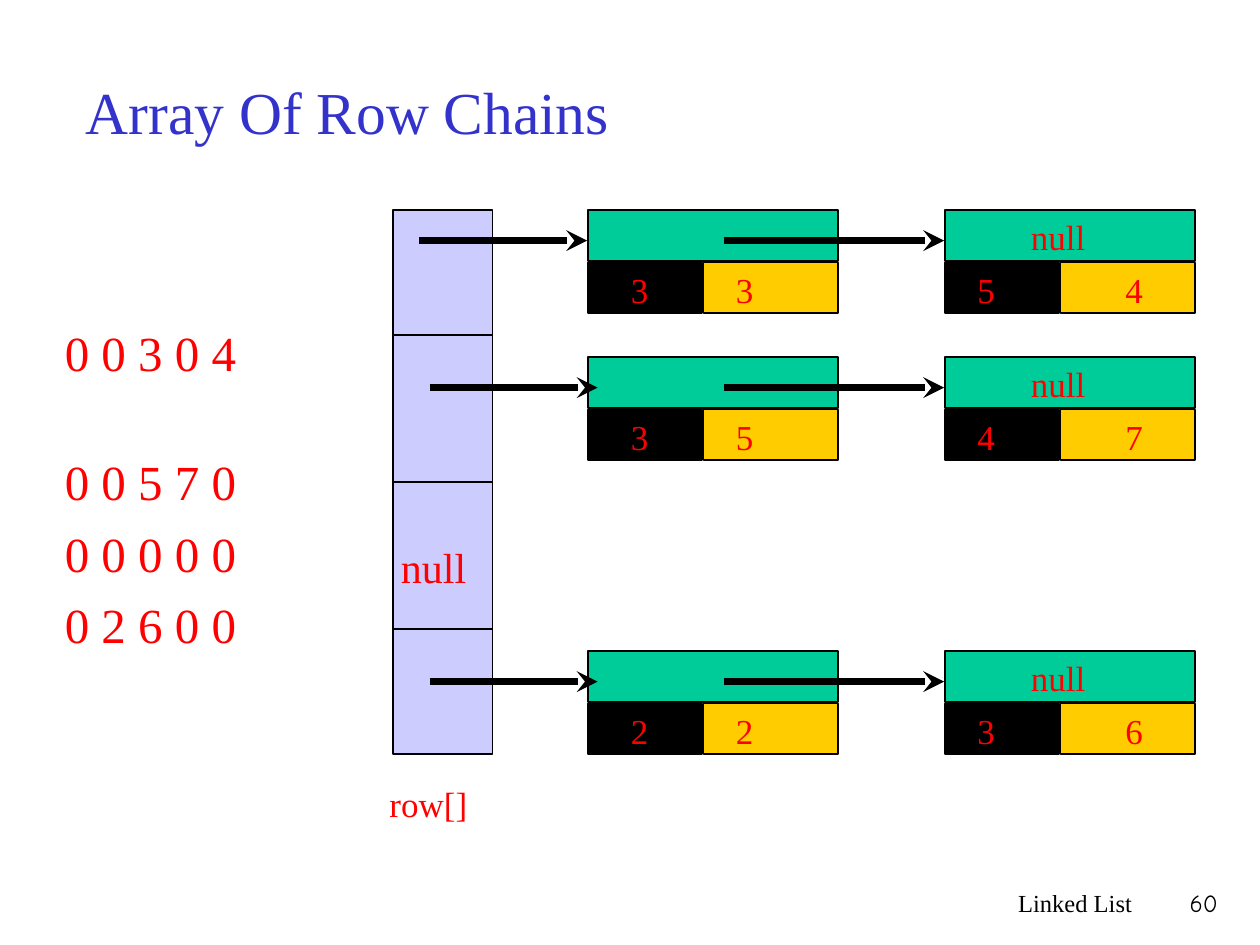
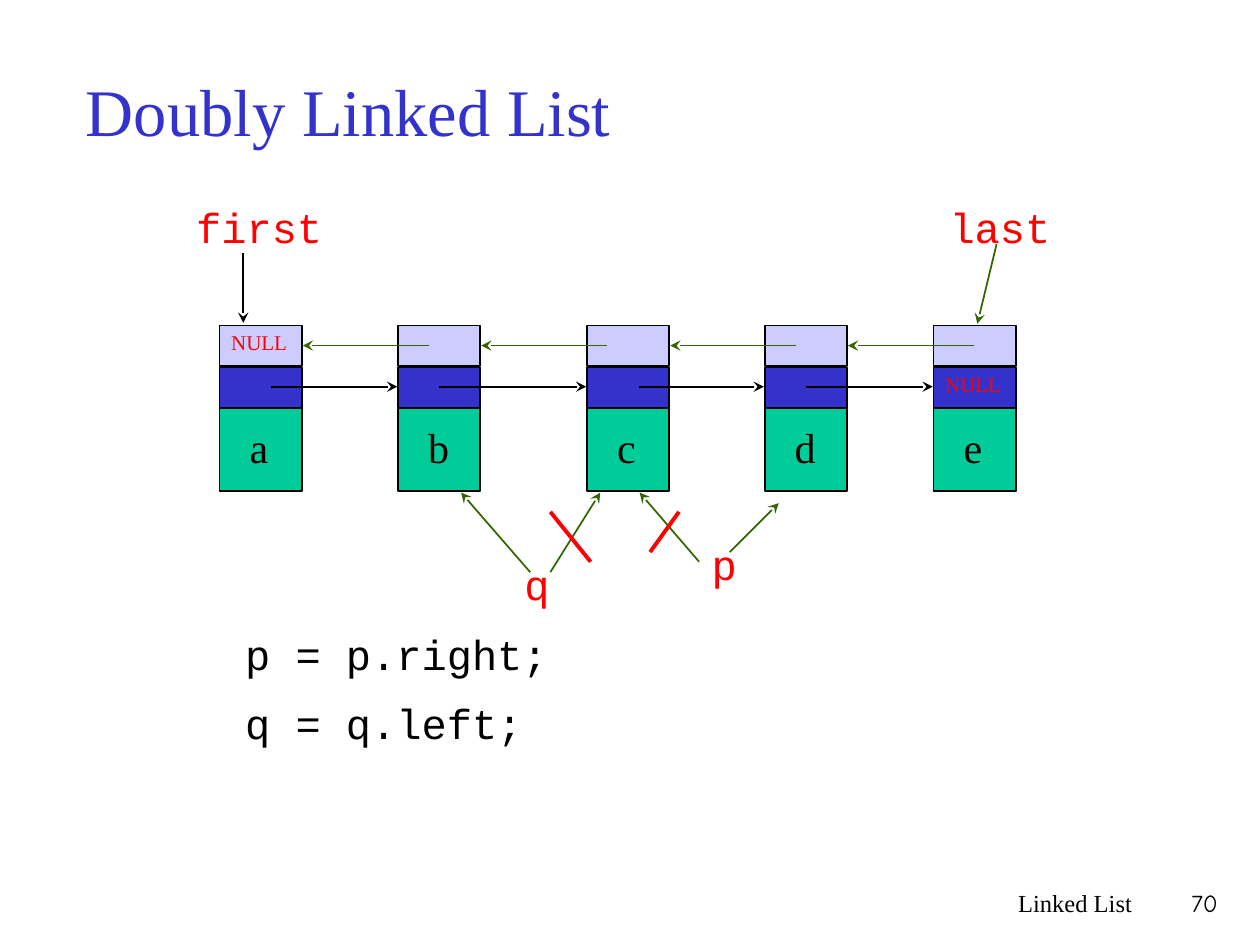
from itertools import pairwise
from lxml.etree import SubElement
from pptx import Presentation
from pptx.dml.color import RGBColor
from pptx.enum.shapes import MSO_CONNECTOR, MSO_SHAPE
from pptx.enum.text import MSO_ANCHOR, PP_ALIGN
from pptx.oxml.ns import qn
from pptx.util import Pt

COLORS = {
    "black": "000000",
    "red": "FF0000",
    "blue": "3333CC",
    "lilac": "CCCCFF",
    "teal": "00CC99",
    "gold": "FFCC00",
    "green": "336600",
}
SERIF, MONO, NUMBER = "Times New Roman", "Courier New", "Comic Neue"
ROW_PITCH = 84


def rgb(name):
    return RGBColor.from_string(COLORS[name])


def add_text(slide, text, x, y, w, h, size=20, font=SERIF, color="red",
             align=PP_ALIGN.LEFT, anchor=MSO_ANCHOR.TOP, wrap=True,
             top=3.6, spacing=None, gaps=()):
    tf = slide.shapes.add_textbox(Pt(x), Pt(y), Pt(w), Pt(h)).text_frame
    tf.word_wrap = wrap
    tf.vertical_anchor = anchor
    tf.margin_top = Pt(top)
    for i, line in enumerate(text.split("\n")):
        p = tf.paragraphs[0] if i == 0 else tf.add_paragraph()
        p.alignment = align
        if spacing:
            p.line_spacing = spacing
        if i and gaps:
            p.space_before = Pt(gaps[i - 1])
        r = p.add_run()
        r.text = line
        r.font.size = Pt(size)
        r.font.name = font
        r.font.color.rgb = rgb(color)


def add_cell(slide, x, y, w, h, fill):
    sp = slide.shapes.add_shape(MSO_SHAPE.RECTANGLE, Pt(x), Pt(y), Pt(w), Pt(h))
    sp.shadow.inherit = False
    sp.fill.solid()
    sp.fill.fore_color.rgb = rgb(fill)
    sp.line.color.rgb = rgb("black")
    sp.line.width = Pt(1)


def add_line(slide, x1, y1, x2, y2, color="black", width=1, arrow=True):
    cxn = slide.shapes.add_connector(
        MSO_CONNECTOR.STRAIGHT, Pt(x1), Pt(y1), Pt(x2), Pt(y2))
    cxn.line.color.rgb = rgb(color)
    cxn.line.width = Pt(width)
    if arrow:
        SubElement(cxn.line._get_or_add_ln(), qn("a:tailEnd"), type="stealth")
    SubElement(cxn._element.spPr, qn("a:effectLst"))


def add_frame(prs, title, title_size, number):
    slide = prs.slides.add_slide(prs.slide_layouts[6])
    add_text(slide, title, 42, 18, 612, 90, size=title_size, color="blue",
             anchor=MSO_ANCHOR.MIDDLE)
    add_text(slide, "Linked List", 426, 504, 228, 36, size=14, color="black",
             align=PP_ALIGN.RIGHT)
    add_text(slide, number, 654, 504, 49, 36, size=14, font=NUMBER,
             color="black", align=PP_ALIGN.RIGHT)
    return slide


def add_row_array(slide, x, y):
    add_cell(slide, x, y, 57, 311, "lilac")
    for i in range(3):
        line_y = y + 71.5 + i * ROW_PITCH
        add_line(slide, x - 0.5, line_y, x + 57.5, line_y, arrow=False)
    add_text(slide, "null", x - 2.5, y + 186, 62, 37, size=24)
    add_text(slide, "row[]", x - 9, y + 323.5, 108, 31)


def add_chain_node(slide, x, y, col, value, col_dx, value_dx):
    add_cell(slide, x, y, 143, 29, "teal")
    add_cell(slide, x, y + 30, 65, 29, "black")
    add_cell(slide, x + 66, y + 30, 77, 29, "gold")
    add_text(slide, col, x + col_dx, y + 30, 42, 31)
    add_text(slide, value, x + value_dx, y + 30, 42, 31)


def add_chain(slide, x, y, first, last, arrow_start):
    last_x = x + 204
    add_chain_node(slide, x, y, *first, 17.5, 77.5)
    add_chain_node(slide, last_x, y, *last, 11.5, 96)
    add_text(slide, "null", last_x + 42, y - 0.5, 54, 31)
    arrow_y = y + 17.5
    add_line(slide, x + 77.5, arrow_y, last_x - 0.5, arrow_y, width=4)
    add_line(slide, x + arrow_start, arrow_y, x + arrow_start + 96, arrow_y,
             width=4)


def build_row_chains(prs):
    slide = add_frame(prs, "Array Of Row Chains", 34, "60")
    add_text(slide, "0 0 3 0 4\n0 0 5 7 0\n0 0 0 0 0\n0 2 6 0 0",
             30, 138, 138, 342, size=28, top=46, gaps=(40.5, 7.2, 7.2))
    x, y = 336, 120
    add_row_array(slide, x - 111.5, y)
    chains = [
        (0, ("3", "3"), ("5", "4"), -96.5),
        (1, ("3", "5"), ("4", "7"), -90.5),
        (3, ("2", "2"), ("3", "6"), -90.5),
    ]
    for row, first, last, arrow_start in chains:
        add_chain(slide, x, y + row * ROW_PITCH, first, last, arrow_start)


def add_list_node(slide, x, y, letter):
    add_cell(slide, x, y, 47, 23, "lilac")
    add_cell(slide, x, y + 24, 47, 23, "blue")
    add_cell(slide, x, y + 47.5, 47, 47, "teal")
    add_text(slide, letter, x + 10, y + 51.5, 26, 36, size=24, color="black",
             wrap=False)


def add_list(slide, xs, y):
    for x, letter in zip(xs, "abcde"):
        add_list_node(slide, x, y, letter)
    for i, (x, next_x) in enumerate(pairwise(xs)):
        start = x + (23.5 if i % 2 else 29.5)
        add_line(slide, start, y + 35, next_x - 0.5, y + 35)
        back = x + 47.5
        add_line(slide, back + 72, y + 11.5, back, y + 11.5, color="green")
    add_text(slide, "NULL", xs[0] - 0.5, y - 1, 48, 21.5, size=12)
    add_text(slide, "NULL", xs[-1] - 0.5, y + 23, 48, 21.5, size=12)


def add_pointer(slide, name, x, y, arrows, color="green"):
    add_text(slide, name, x, y, 132, 36, size=24, font=MONO)
    for x1, y1, x2, y2 in arrows:
        add_line(slide, x + x1, y + y1, x + x2, y + y2, color=color)


def build_doubly_linked(prs):
    slide = add_frame(prs, "Doubly Linked List", 38, "70")
    add_list(slide, [125.5, 227.5, 335.5, 437, 533.5], 186)
    add_pointer(slide, "first", 105, 111.5, [(34, 33, 34, 73)], color="black")
    add_pointer(slide, "last", 535.5, 111.5, [(34, 28, 23, 73.5)])
    add_pointer(slide, "p", 399.5, 304,
                [(0, 17, -34, -22.5), (17.5, 11.5, 45.5, -16.5)])
    add_pointer(slide, "q", 292.5, 315.5,
                [(22, 11.5, 50.5, -34), (10.5, 11.5, -29, -34)])
    for x1, y1, x2, y2 in [(388, 292.5, 371.5, 315.5), (314.5, 292.5, 337.5, 321)]:
        add_line(slide, x1, y1, x2, y2, color="red", width=2.25, arrow=False)
    for i, code in enumerate(["p = p.right;", "q = q.left;"]):
        add_text(slide, code, 133, 361 + i * 39.5, 351, 31, size=24, font=MONO,
                 color="black", spacing=0.8)


def main():
    prs = Presentation()
    prs.slide_width, prs.slide_height = Pt(720), Pt(540)
    build_row_chains(prs)
    build_doubly_linked(prs)
    prs.save("out.pptx")


if __name__ == "__main__":
    main()
